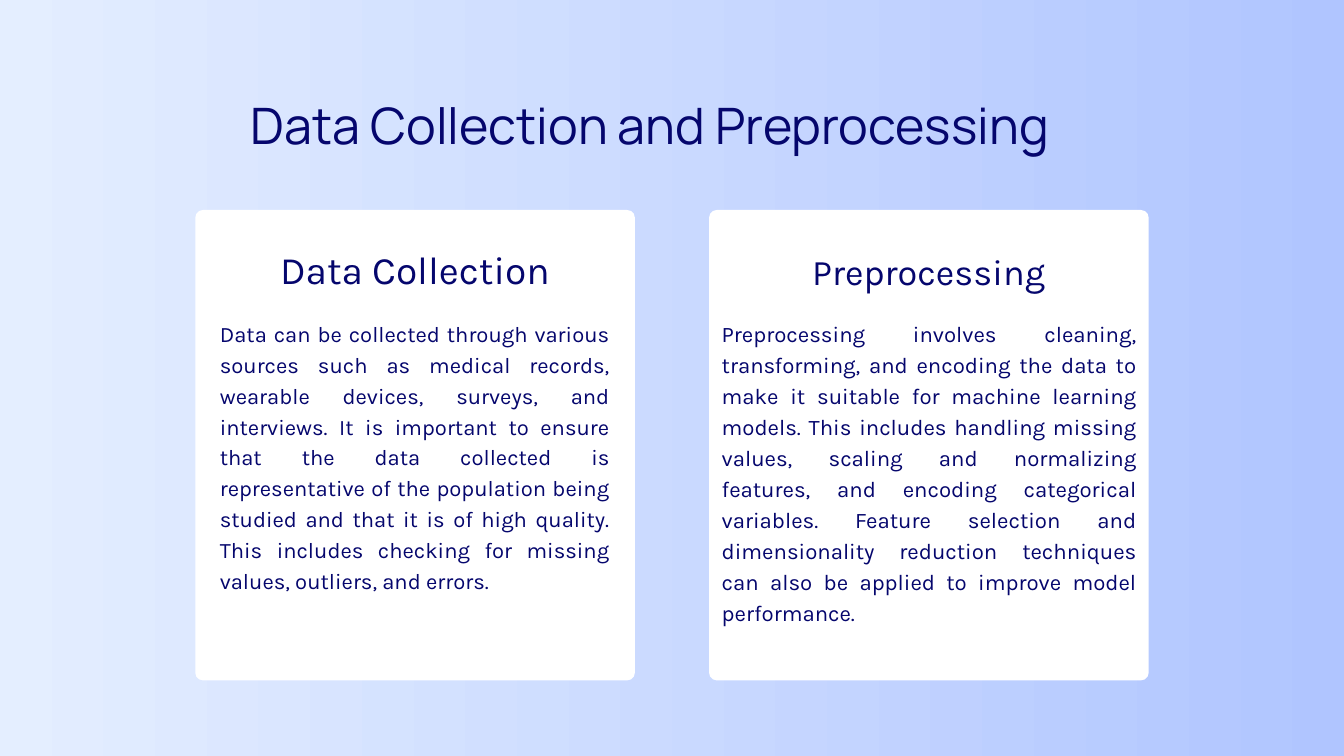
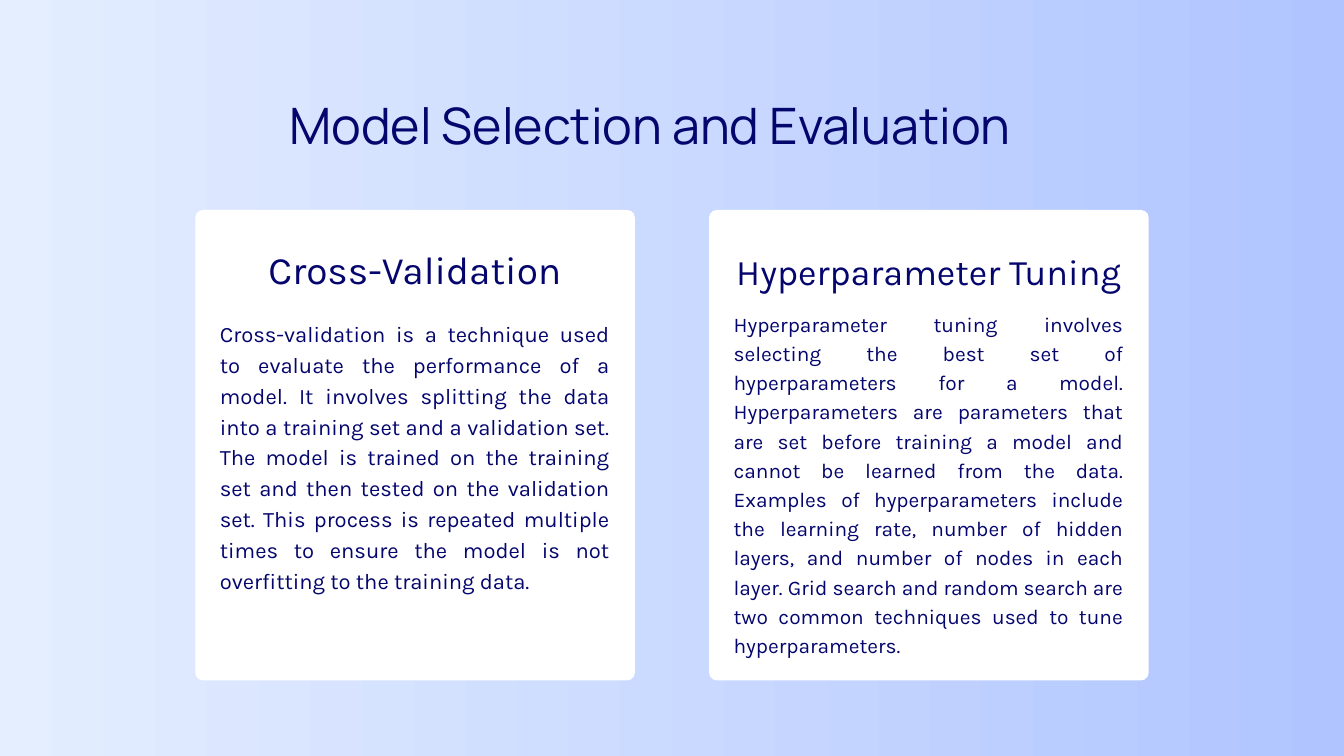
"""Build two slides, each with a title above a pair of white text cards."""

from dataclasses import dataclass

from pptx import Presentation
from pptx.dml.color import RGBColor
from pptx.enum.dml import MSO_FILL_TYPE
from pptx.enum.shapes import MSO_AUTO_SHAPE_TYPE as ShapeType
from pptx.enum.text import MSO_ANCHOR as Anchor, MSO_AUTO_SIZE as AutoSize, PP_ALIGN as Align
from pptx.shapes.autoshape import Shape
from pptx.slide import Slide, SlideMaster
from pptx.util import Pt

EMU_PER_PX = 9525
SLIDE_WIDTH, SLIDE_HEIGHT = 1920, 1080
TITLE_ONLY = 5

NAVY = RGBColor(0x05, 0x06, 0x6D)
WHITE = RGBColor(0xFF, 0xFF, 0xFF)
PALE_BLUE = RGBColor(0xE4, 0xEE, 0xFF)
SOFT_BLUE = RGBColor(0xB0, 0xC5, 0xFF)


@dataclass(frozen=True)
class Box:
    left: int
    top: int
    width: int
    height: int

    def emu(self) -> tuple[int, int, int, int]:
        return (self.left * EMU_PER_PX, self.top * EMU_PER_PX,
                self.width * EMU_PER_PX, self.height * EMU_PER_PX)


@dataclass(frozen=True)
class TextStyle:
    font: str
    size: float
    line: float
    align: Align


@dataclass(frozen=True)
class Body:
    text: str
    style: TextStyle
    top: int
    width: int
    height: int


@dataclass(frozen=True)
class Topic:
    title: str
    headings: tuple[str, str]
    bodies: tuple[Body, Body]


@dataclass(frozen=True)
class Heading:
    style: TextStyle
    top: int
    height: int


TITLE_BOX = Box(252, 120, 1353, 203)
TITLE_STYLE = TextStyle("Manrope", 53.8, 75.4, Align.CENTER)
BODY_STYLE = TextStyle("Karla", 23.6, 33, Align.JUSTIFY)
WIDE_BODY_STYLE = TextStyle("Karla", 23.8, 33.2, Align.JUSTIFY)
DENSE_BODY_STYLE = TextStyle("Karla", 22.4, 31.3, Align.JUSTIFY)

CARD_WIDTH, CARD_GAP, CARD_RADIUS = 628, 106, 11
CARDS = [Box(279 + column * (CARD_WIDTH + CARD_GAP), 300, CARD_WIDTH, 672)
         for column in range(2)]
HEADINGS = (
    Heading(TextStyle("Karla", 41.6, 58.2, Align.CENTER), 340, 74),
    Heading(TextStyle("Karla", 38.6, 54, Align.CENTER), 346, 68),
)

TOPICS = [
    Topic(
        "Data Collection and Preprocessing",
        ("Data Collection", "Preprocessing"),
        (
            Body("Data can be collected through various sources such as medical records, "
                 "wearable devices, surveys, and interviews. It is important to ensure that "
                 "the data collected is representative of the population being studied and "
                 "that it is of high quality. This includes checking for missing values, "
                 "outliers, and errors.",
                 BODY_STYLE, 452, 557, 395),
            Body("Preprocessing involves cleaning, transforming, and encoding the data to "
                 "make it suitable for machine learning models. This includes handling "
                 "missing values, scaling and normalizing features, and encoding categorical "
                 "variables. Feature selection and dimensionality reduction techniques can "
                 "also be applied to improve model performance.",
                 WIDE_BODY_STYLE, 452, 592, 483),
        ),
    ),
    Topic(
        "Model Selection and Evaluation",
        ("Cross-Validation", "Hyperparameter Tuning"),
        (
            Body("Cross-validation is a technique used to evaluate the performance of a "
                 "model. It involves splitting the data into a training set and a validation "
                 "set. The model is trained on the training set and then tested on the "
                 "validation set. This process is repeated multiple times to ensure the "
                 "model is not overfitting to the training data.",
                 BODY_STYLE, 452, 557, 439),
            Body("Hyperparameter tuning involves selecting the best set of hyperparameters "
                 "for a model. Hyperparameters are parameters that are set before training a "
                 "model and cannot be learned from the data. Examples of hyperparameters "
                 "include the learning rate, number of hidden layers, and number of nodes in "
                 "each layer. Grid search and random search are two common techniques used "
                 "to tune hyperparameters.",
                 DENSE_BODY_STYLE, 439, 557, 496),
        ),
    ),
]


def paint_background(master: SlideMaster) -> None:
    fill = master.background.fill
    if fill.type != MSO_FILL_TYPE.GRADIENT:
        fill.gradient()
    fill.gradient_angle = 0
    for stop, color in zip(fill.gradient_stops, (PALE_BLUE, SOFT_BLUE)):
        stop.color.rgb = color


def write(holder: Shape, text: str, style: TextStyle) -> None:
    frame = holder.text_frame
    frame.text = text
    frame.word_wrap = True
    frame.auto_size = AutoSize.NONE
    frame.vertical_anchor = Anchor.TOP
    frame.margin_left = frame.margin_top = frame.margin_right = frame.margin_bottom = 0
    paragraph = frame.paragraphs[0]
    paragraph.alignment = style.align
    paragraph.line_spacing = Pt(style.line)
    paragraph.space_before = Pt(0)
    for run in paragraph.runs:
        run.font.name = style.font
        run.font.size = Pt(style.size)
        run.font.color.rgb = NAVY


def add_title(slide: Slide, text: str) -> None:
    title = slide.shapes.title
    title.left, title.top, title.width, title.height = TITLE_BOX.emu()
    write(title, text, TITLE_STYLE)


def add_text(slide: Slide, box: Box, text: str, style: TextStyle) -> None:
    write(slide.shapes.add_textbox(*box.emu()), text, style)


def add_card(slide: Slide, box: Box, heading: Heading, heading_text: str, body: Body) -> None:
    card = slide.shapes.add_shape(ShapeType.ROUNDED_RECTANGLE, *box.emu())
    card.adjustments[0] = CARD_RADIUS / min(box.width, box.height)
    card.shadow.inherit = False
    card.fill.solid()
    card.fill.fore_color.rgb = WHITE
    card.line.fill.background()
    body_left = box.left + (box.width - body.width) // 2
    add_text(slide, Box(body_left, body.top, body.width, body.height), body.text, body.style)
    add_text(slide, Box(box.left, heading.top, box.width, heading.height),
             heading_text, heading.style)


def main() -> None:
    deck = Presentation()
    deck.slide_width = SLIDE_WIDTH * EMU_PER_PX
    deck.slide_height = SLIDE_HEIGHT * EMU_PER_PX
    paint_background(deck.slide_master)
    for topic in TOPICS:
        slide = deck.slides.add_slide(deck.slide_layouts[TITLE_ONLY])
        add_title(slide, topic.title)
        for parts in zip(CARDS, HEADINGS, topic.headings, topic.bodies):
            add_card(slide, *parts)
    deck.save("out.pptx")


if __name__ == "__main__":
    main()
